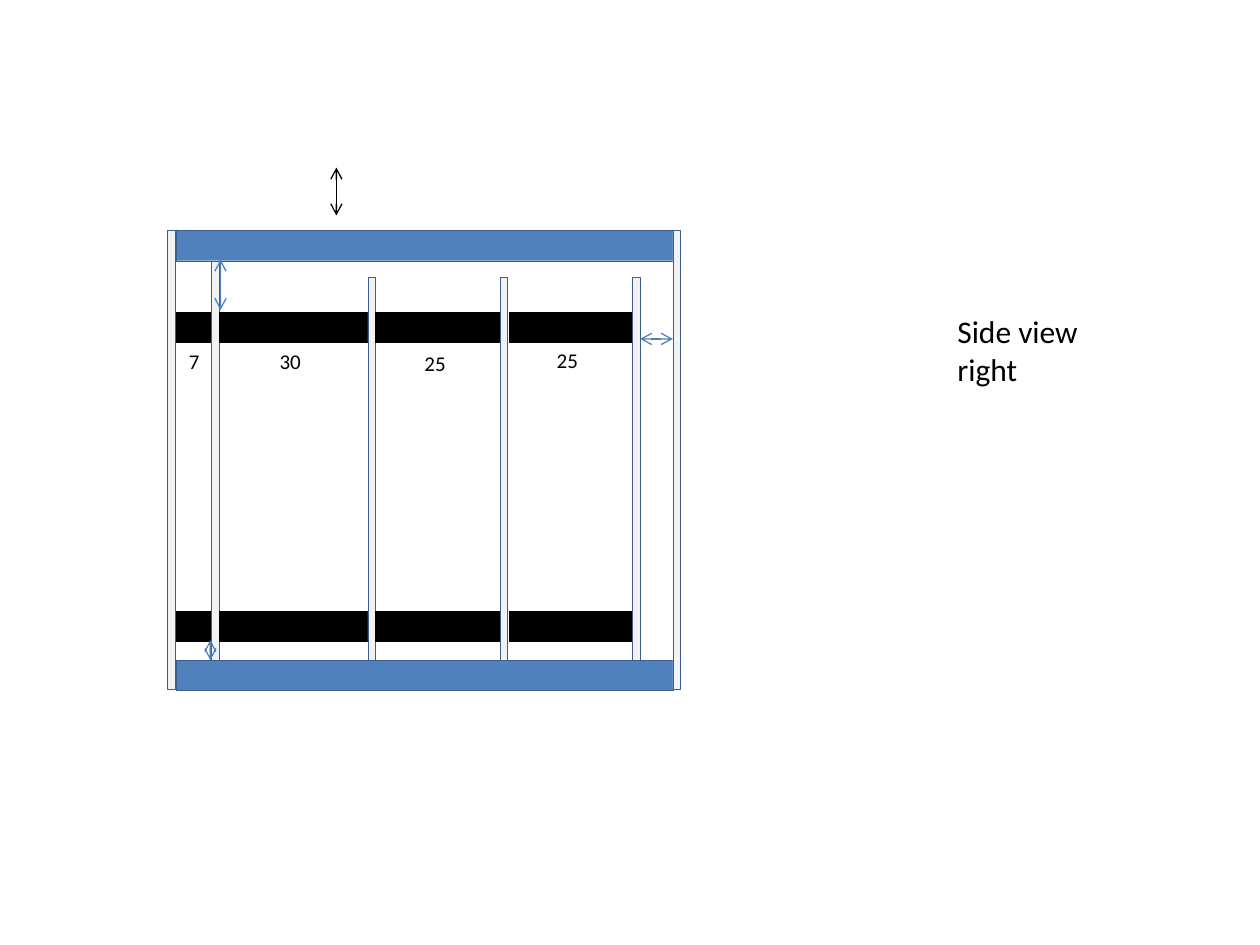
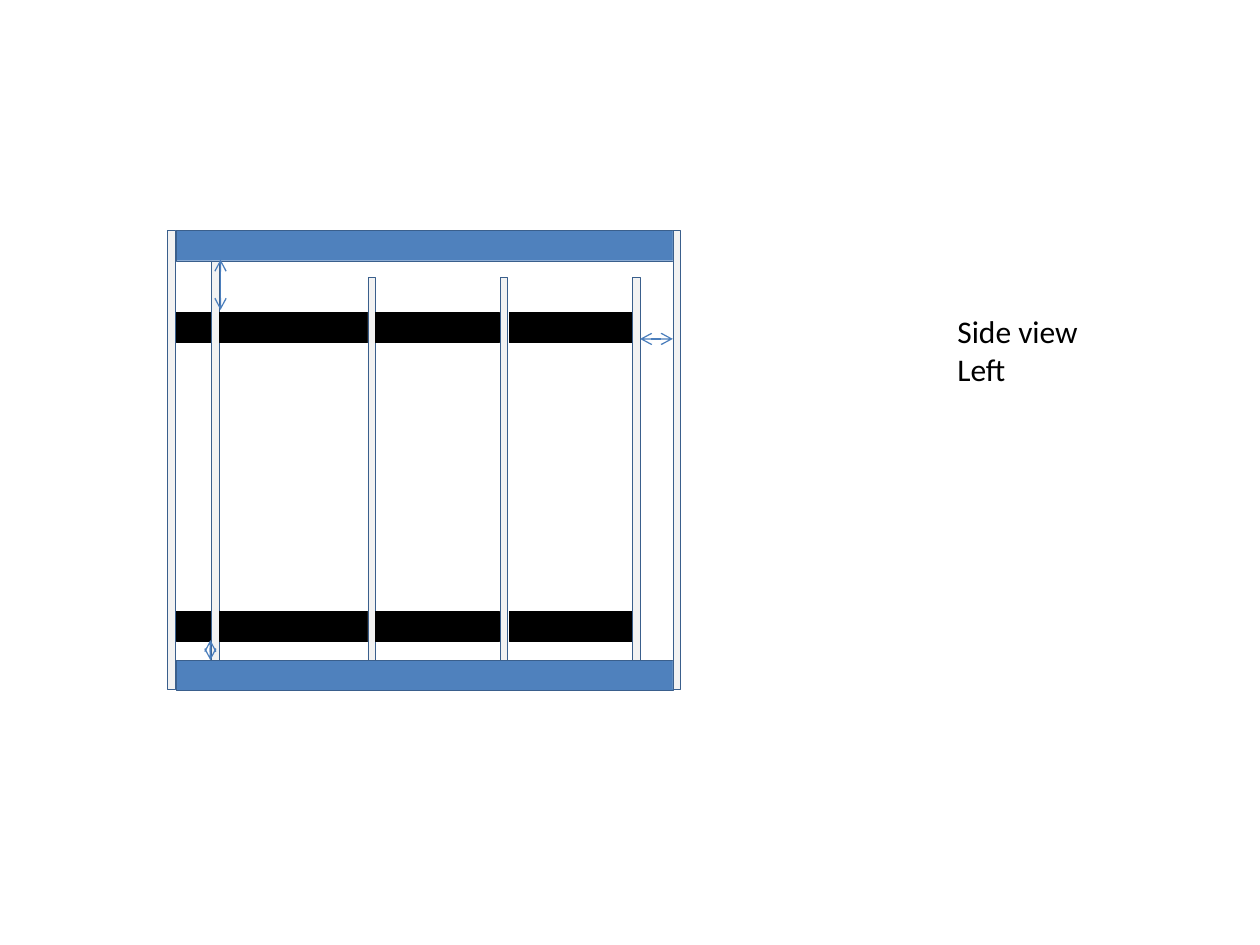
import pptx
import pptx.dml.color
import pptx.enum.shapes
import pptx.enum.text
import pptx.oxml
import pptx.oxml.ns
import pptx.util
from pptx.util import Inches

COLORS = {
    "post": "F2F2F2",
    "beam": "4F81BD",
    "bar": "000000",
    "outline": "3A5F8C",
    "arrow": "4B7EBC",
    "ink": "000000",
}
FONT = "Calibri"

FRAME_TOP, FRAME_BOTTOM = 1.83, 5.47
BEAM_LEFT, BEAM_WIDTH = 1.4, 3.94
FLOOR = 5.24
POST_WIDTH = 0.06
THICKNESS = 0.24
BAR_TOPS = [2.48, 4.85]

# Post left and top and bottom, then left and width of the bay to its right
POSTS_AND_BAYS = [
    (1.33, FRAME_TOP, FRAME_BOTTOM, 1.4, 0.28),
    (1.68, 2.07, FLOOR, 1.74, 1.18),
    (2.92, 2.2, FLOOR, 2.98, 0.98),
    (3.97, 2.2, FLOOR, 4.04, 0.98),
    (5.02, 2.2, FLOOR, None, None),
    (5.34, FRAME_TOP, FRAME_BOTTOM, None, None),
]
CLEARANCES = [
    (1.67, FLOOR, 1.67, 5.08),
    (1.75, 2.46, 1.75, 2.06),
    (5.08, 2.69, 5.34, 2.69),
]
BAY_LABELS = [
    ("7", 1.4, 2.72, 0.23),
    ("30", 2.12, 2.72, 0.42),
    ("25", 3.27, 2.73, 0.4),
    ("25", 4.32, 2.71, 0.42),
]

boards = [("beam", BEAM_LEFT, top, BEAM_WIDTH, THICKNESS) for top in (FRAME_TOP, FLOOR)]
for post_left, post_top, post_bottom, bay_left, bay_width in POSTS_AND_BAYS:
    boards.append(("post", post_left, post_top, POST_WIDTH, post_bottom - post_top))
    if bay_left:
        boards += [("bar", bay_left, top, bay_width, THICKNESS) for top in BAR_TOPS]


def add_text(shapes, text, left, top, width, height, size=12):
    box = shapes.add_textbox(Inches(left), Inches(top), Inches(width), Inches(height))
    frame = box.text_frame
    frame.word_wrap = True
    frame.auto_size = pptx.enum.text.MSO_AUTO_SIZE.SHAPE_TO_FIT_TEXT
    run = frame.paragraphs[0].add_run()
    run.text = text
    run.font.name = FONT
    run.font.size = pptx.util.Pt(size)
    run.font.color.rgb = pptx.dml.color.RGBColor.from_string(COLORS["ink"])


def add_double_arrow(shapes, x1, y1, x2, y2, color="arrow"):
    arrow = shapes.add_connector(
        pptx.enum.shapes.MSO_CONNECTOR.STRAIGHT,
        Inches(x1), Inches(y1), Inches(x2), Inches(y2),
    )
    arrow.line.width = pptx.util.Pt(0.75)
    arrow.line.color.rgb = pptx.dml.color.RGBColor.from_string(COLORS[color])
    line = arrow.line._get_or_add_ln()
    for end in ("a:headEnd", "a:tailEnd"):
        tip = pptx.oxml.parse_xml(f'<{end} {pptx.oxml.ns.nsdecls("a")} type="arrow"/>')
        line.append(tip)
    no_effects = pptx.oxml.parse_xml(f'<a:effectLst {pptx.oxml.ns.nsdecls("a")}/>')
    arrow._element.spPr.append(no_effects)


prs = pptx.Presentation()
prs.slide_width, prs.slide_height = Inches(10), Inches(7.5)

for view in ("Side view right", "Side view Left"):
    slide = prs.slides.add_slide(prs.slide_layouts[6])
    cabinet = slide.shapes.add_group_shape().shapes

    for part, left, top, width, height in boards:
        board = cabinet.add_shape(
            pptx.enum.shapes.MSO_SHAPE.RECTANGLE,
            Inches(left), Inches(top), Inches(width), Inches(height),
        )
        board.shadow.inherit = False
        board.fill.solid()
        board.fill.fore_color.rgb = pptx.dml.color.RGBColor.from_string(COLORS[part])
        outline = COLORS["bar" if part == "bar" else "outline"]
        board.line.color.rgb = pptx.dml.color.RGBColor.from_string(outline)
        board.line.width = pptx.util.Pt(0.25)

    for clearance in CLEARANCES:
        add_double_arrow(cabinet, *clearance)

    add_text(slide.shapes, view, 7.5, 2.43, 1.17, 0.71, size=18)

    if view == "Side view right":
        for label, left, top, width in BAY_LABELS:
            add_text(slide.shapes, label, left, top, width, 0.3)
        add_double_arrow(slide.shapes, 2.67, 1.71, 2.67, 1.33, color="ink")

prs.save("out.pptx")
